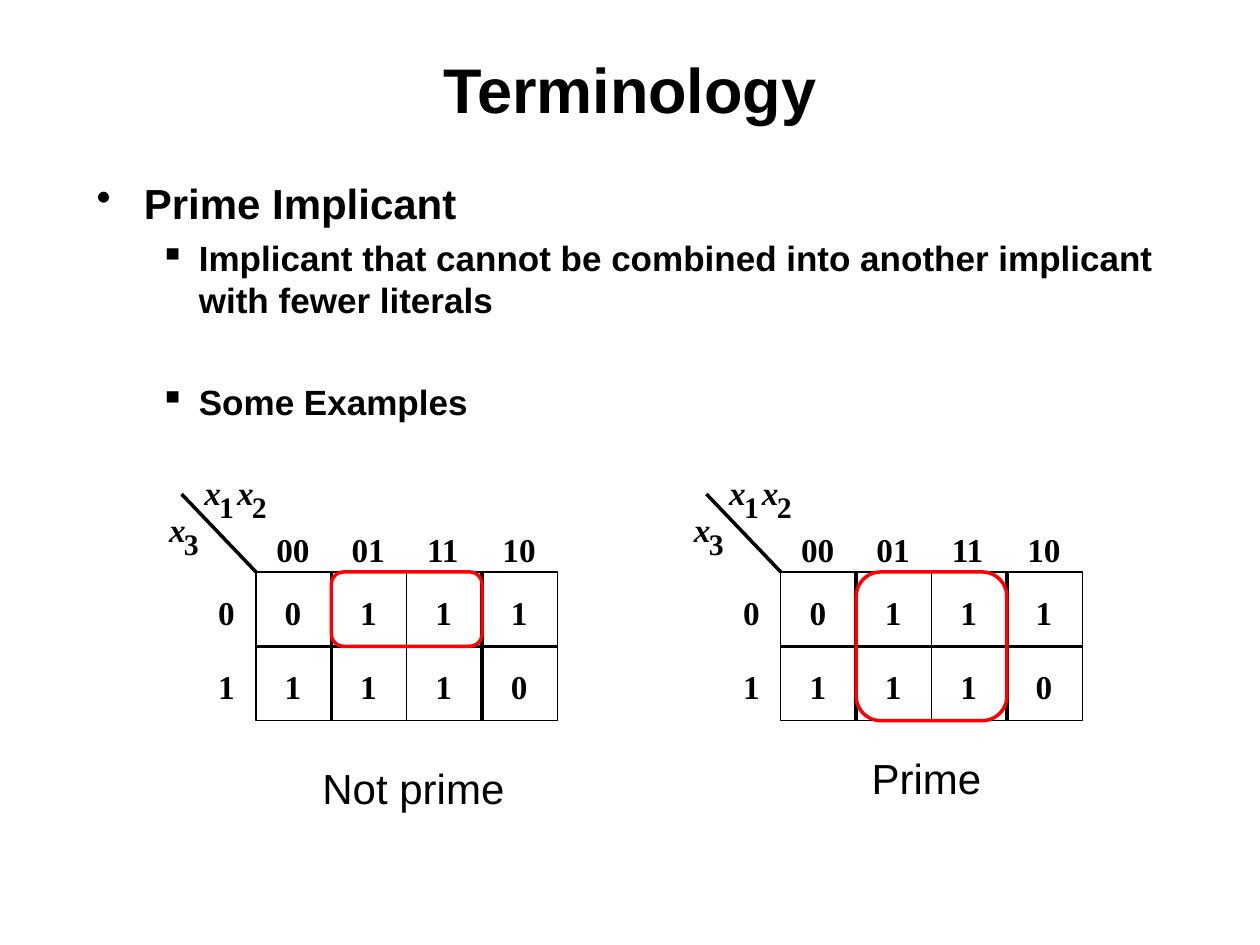
import dataclasses

import lxml.etree
import pptx
import pptx.dml.color
import pptx.enum.shapes
import pptx.enum.text
import pptx.oxml.ns
import pptx.util
from pptx.util import Cm, Pt


@dataclasses.dataclass(frozen=True)
class Theme:
    ink: str = "000000"
    loop: str = "FF0000"
    sans: str = "Arial"
    serif: str = "Times New Roman"
    title: int = 36
    heading: int = 24
    detail: int = 20
    digit: int = 19
    subscript: int = 17
    hairline: int = 0
    loop_line: int = 2


THEME = Theme()
CELL_W, CELL_H = 1.52, 1.5
COLUMNS = ["00", "01", "11", "10"]
ROWS = ["0", "1"]
VALUES = ["0111", "1110"]
# Subscript and position of each variable, from the grid's top left corner
VARIABLES = [("1", -1.04, -2.01), ("2", -0.38, -2.01), ("3", -1.75, -1.27)]


def rgb(code):
    return pptx.dml.color.RGBColor.from_string(code)


def style(paragraph, size, face=THEME.sans, bold=True, italic=False):
    font = paragraph.font
    font.size, font.name = Pt(size), face
    font.bold, font.italic = bold, italic
    font.color.rgb = rgb(THEME.ink)


def add_text(shapes, words, box, size, **look):
    text_box = shapes.add_textbox(*map(Cm, box))
    frame = text_box.text_frame
    frame.word_wrap = True
    frame.text = words
    style(frame.paragraphs[0], size, **look)
    return frame


def add_label(shapes, words, x, y, size=THEME.digit, italic=False):
    """Put a tight serif label with its top left corner at x, y."""
    frame = add_text(shapes, words, (x, y, 0.38 * len(words), 0.81), size,
                     face=THEME.serif, italic=italic)
    frame.margin_left = frame.margin_right = 0
    frame.margin_top = frame.margin_bottom = 0
    frame.word_wrap = False


def add_outline(shapes, kind, box, colour, width):
    outline = shapes.add_shape(kind, *map(Cm, box))
    outline.shadow.inherit = False
    outline.fill.background()
    outline.line.color.rgb = rgb(colour)
    outline.line.width = Pt(width)
    return outline


def add_rule(shapes, *ends):
    rule = shapes.add_connector(pptx.enum.shapes.MSO_CONNECTOR.STRAIGHT,
                                *map(Cm, ends))
    rule.line.color.rgb = rgb(THEME.ink)
    rule.line.width = Pt(THEME.hairline)
    properties = rule._element.spPr
    lxml.etree.SubElement(properties, pptx.oxml.ns.qn("a:effectLst"))


def set_bullet(paragraph, symbol, indent, hanging):
    properties = paragraph._p.get_or_add_pPr()
    properties.set("marL", str(Cm(indent)))
    properties.set("indent", str(-Cm(hanging)))
    bullet = lxml.etree.SubElement(properties, pptx.oxml.ns.qn("a:buChar"))
    bullet.set("char", symbol)


def add_title(slide, box):
    frame = add_text(slide.shapes, "Terminology", box, THEME.title)
    frame.vertical_anchor = pptx.enum.text.MSO_ANCHOR.MIDDLE
    frame.paragraphs[0].alignment = pptx.enum.text.PP_ALIGN.CENTER


def add_definition(slide, box):
    frame = slide.shapes.add_textbox(*map(Cm, box)).text_frame
    frame.word_wrap = True
    frame.margin_top = Cm(0.2)
    heading = frame.paragraphs[0]
    heading.text = "Prime Implicant"
    set_bullet(heading, "•", 0.95, 0.95)
    style(heading, THEME.heading)
    details = [
        ("Implicant that cannot be combined into another implicant "
         "with fewer literals", 5),
        ("Some Examples", 34),
    ]
    for words, gap in details:
        detail = frame.add_paragraph()
        detail.text = words
        detail.level = 1
        set_bullet(detail, "▪", 2.06, 0.79)
        detail.space_before = Pt(gap)
        style(detail, THEME.detail)


def add_grid(shapes, left, top):
    """Draw two blocks of two by two cells and the corner diagonal."""
    middle = top + CELL_H
    for block in range(2):
        x = left + 2 * block * CELL_W
        add_outline(shapes, pptx.enum.shapes.MSO_SHAPE.RECTANGLE,
                    (x, top, 2 * CELL_W, 2 * CELL_H), THEME.ink, THEME.hairline)
        add_rule(shapes, x, middle, x + 2 * CELL_W, middle)
        add_rule(shapes, x + CELL_W, top, x + CELL_W, top + 2 * CELL_H)
    add_rule(shapes, left - 1.5, top - 1.57, left, top)


def add_karnaugh_map(slide, left, top, loop_rows):
    """Place the map by its grid corner, looping the middle two columns."""
    shapes = slide.shapes.add_group_shape().shapes
    add_grid(shapes, left, top)
    for index, dx, dy in VARIABLES:
        add_label(shapes, "x", left + dx, top + dy, italic=True)
        add_label(shapes, index, left + dx + 0.3, top + dy + 0.33,
                  THEME.subscript)
    for column, heading in enumerate(COLUMNS):
        add_label(shapes, heading, left + 0.41 + column * CELL_W, top - 0.86)
    for row, heading in enumerate(ROWS):
        y = top + 0.41 + row * CELL_H
        add_label(shapes, heading, left - 0.76, y)
        for column, value in enumerate(VALUES[row]):
            add_label(shapes, value, left + 0.58 + column * CELL_W, y)
    add_outline(slide.shapes, pptx.enum.shapes.MSO_SHAPE.ROUNDED_RECTANGLE,
                (left + CELL_W, top, 2 * CELL_W, loop_rows * CELL_H),
                THEME.loop, THEME.loop_line)


def main():
    deck = pptx.Presentation()
    deck.slide_width, deck.slide_height = Cm(25.4), Cm(19.05)
    slide = deck.slides.add_slide(deck.slide_layouts[6])
    add_title(slide, (0, 0.84, 25.4, 1.9))
    add_definition(slide, (1.7, 3.38, 22.02, 13.77))
    add_karnaugh_map(slide, 5.16, 11.53, loop_rows=1)
    add_karnaugh_map(slide, 15.74, 11.53, loop_rows=2)
    add_text(slide.shapes, "Not prime", (6.25, 15.24, 5.79, 1.27),
             THEME.heading, bold=False)
    add_text(slide.shapes, "Prime", (17.32, 15.04, 5.26, 1.27),
             THEME.heading, bold=False)
    deck.save("out.pptx")


if __name__ == "__main__":
    main()
